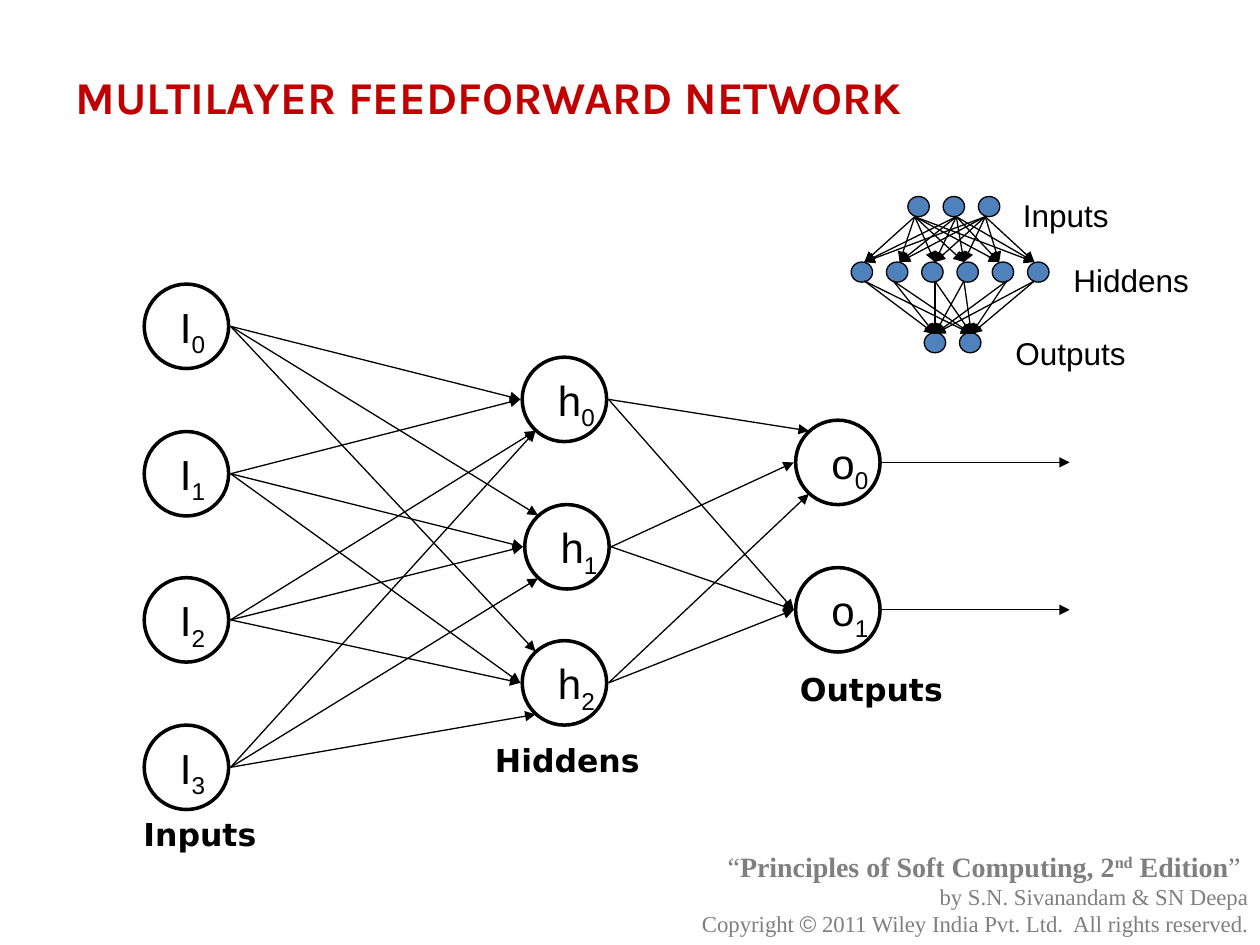
from itertools import product

from lxml.etree import SubElement
from pptx import Presentation
from pptx.dml.color import RGBColor
from pptx.enum.shapes import MSO_CONNECTOR, MSO_SHAPE
from pptx.enum.text import MSO_AUTO_SIZE, PP_ALIGN
from pptx.oxml.ns import qn
from pptx.util import Inches, Pt

COLORS = {"title": "C00000", "ink": "000000", "node": "4F81BD", "footer": "7F7F7F"}
NODE = 0.67
REACH = 0.35
ROWS_I = [2.59, 3.76, 4.92, 6.09]
UPPER_LEFT, LEFT, LOWER_LEFT = -1, 0, 1
LAYERS = {
    "I": [(1.48, y) for y in ROWS_I],
    "h": [(4.48, 3.17), (4.5, 4.34), (4.48, 5.42)],
    "o": [(6.65, 3.67), (6.65, 4.84)],
}
ENTRIES = {
    ("I", "h"): [(LEFT, UPPER_LEFT, UPPER_LEFT), (LEFT, LEFT, LEFT),
                 (LOWER_LEFT, LEFT, LEFT), (LOWER_LEFT, LOWER_LEFT, LOWER_LEFT)],
    ("h", "o"): [(UPPER_LEFT, LEFT), (LEFT, LEFT), (LOWER_LEFT, LEFT)],
}


def color(name):
    return RGBColor.from_string(COLORS[name])


def add_run(p, text, font="Arial", size=18, ink="ink", bold=False, baseline=0):
    r = p.add_run()
    r.text = text
    r.font.name, r.font.size, r.font.bold = font, Pt(size), bold
    r.font.color.rgb = color(ink)
    if baseline:
        r._r.get_or_add_rPr().set("baseline", str(baseline * 1000))


class SlideBuilder:
    node_line = 2
    edge_line = 0.75

    def __init__(self, prs):
        self.s = prs.slides.add_slide(prs.slide_layouts[6])

    def text(self, x, y, w, h, paragraphs, wrap=True, align=PP_ALIGN.LEFT):
        sp = self.s.shapes.add_textbox(Inches(x), Inches(y), Inches(w), Inches(h))
        tf = sp.text_frame
        tf.word_wrap = wrap
        tf.auto_size = MSO_AUTO_SIZE.SHAPE_TO_FIT_TEXT
        for i, runs in enumerate(paragraphs):
            p = tf.add_paragraph() if i else tf.paragraphs[0]
            p.alignment = align
            for text, style in runs:
                add_run(p, text, **style)

    def circle(self, cx, cy, w, h, line, fill=None, rotation=0):
        sp = self.s.shapes.add_shape(
            MSO_SHAPE.OVAL, Inches(cx - w / 2), Inches(cy - h / 2), Inches(w), Inches(h))
        sp.shadow.inherit = False
        sp.rotation = rotation
        sp.line.color.rgb = color("ink")
        sp.line.width = Pt(line)
        if fill:
            sp.fill.solid()
            sp.fill.fore_color.rgb = color(fill)
        else:
            sp.fill.background()

    def arrow(self, start, end):
        cn = self.s.shapes.add_connector(
            MSO_CONNECTOR.STRAIGHT, *(Inches(v) for v in (*start, *end)))
        cn.line.color.rgb = color("ink")
        cn.line.width = Pt(self.edge_line)
        SubElement(cn.line._get_or_add_ln(), qn("a:tailEnd"), type="triangle")
        SubElement(cn._element.spPr, qn("a:effectLst"))

    def node(self, letter, index, cx, cy):
        runs = [(letter, {"size": 24}), (str(index), {"size": 24, "baseline": -25})]
        width = 0.4 if letter == "I" else 0.49
        self.text(cx - 0.15, cy - 0.25, width, 0.56, [runs], wrap=False)
        self.circle(cx, cy, NODE, NODE, self.node_line)

    def mini_row(self, left, cy, count):
        for i in range(count):
            self.circle(left + 0.28 * i, cy, 0.16, 0.17, self.edge_line, "node", 90)

    def mini_edges(self, starts, y1, ends, y2):
        for x1, x2 in product(starts, ends):
            self.arrow((x1, y1), (x2, y2))


def draw_overview(b):
    for left, cy, count in [(7.29, 1.64, 3), (6.84, 2.16, 6), (7.42, 2.72, 2)]:
        b.mini_row(left, cy, count)
    b.mini_edges([7.26, 7.59, 7.82], 1.72, [6.86, 7.14, 7.42, 7.65, 7.93, 8.21], 2.08)
    b.mini_edges([6.86, 7.09, 7.42, 7.65, 7.99, 8.21], 2.23, [7.42, 7.71], 2.65)
    for label, x, y, w in [("Inputs", 8.02, 1.51, 0.92), ("Hiddens", 8.42, 2.02, 1.15),
                           ("Outputs", 7.96, 2.6, 1.11)]:
        b.text(x, y, w, 0.4, [[(label, {})]])


def draw_network(b):
    for letter, centers in LAYERS.items():
        for i, (cx, cy) in enumerate(centers):
            b.node(letter, i, cx, cy)
    for (source, target), table in ENTRIES.items():
        for (x1, y1), sides in zip(LAYERS[source], table):
            for (x2, y2), side in zip(LAYERS[target], sides):
                inset = 0.23 if side else REACH
                b.arrow((x1 + REACH, y1), (x2 - inset, y2 + 0.25 * side))
    for cx, cy in LAYERS["o"]:
        b.arrow((cx + REACH, cy), (8.49, cy))
    for label, x, y in [("Inputs", 1.04, 6.42), ("Hiddens", 3.83, 5.83),
                        ("Outputs", 6.25, 5.27)]:
        b.text(x, y, 1.67, 0.4, [[(label, {"font": "DejaVu Sans", "bold": True})]])


def draw_footer(b):
    small = {"font": "Times New Roman", "size": 13, "ink": "footer"}
    quote = {**small, "size": 16}
    book = {**quote, "bold": True}
    b.text(0.5, 6.69, 9.5, 0.8, [
        [("“", quote), ("Principles of Soft Computing, 2", book),
         ("nd", {**book, "baseline": 30}), (" Edition", book), ("” ", quote)],
        [("by S.N. Sivanandam & SN Deepa", small)],
        [("Copyright ", small), ("©", {**small, "font": "Arial"}),
         (" 2011 Wiley India Pvt. Ltd.  All rights reserved.", small)],
    ], align=PP_ALIGN.RIGHT)


def main():
    prs = Presentation()
    prs.slide_width, prs.slide_height = Inches(10), Inches(7.5)
    b = SlideBuilder(prs)
    title = {"font": "Karla", "size": 26, "ink": "title", "bold": True}
    b.text(0.5, 0.5, 8.26, 0.54, [[("MULTILAYER FEEDFORWARD NETWORK", title)]])
    draw_overview(b)
    draw_network(b)
    draw_footer(b)
    prs.save("out.pptx")


if __name__ == "__main__":
    main()
